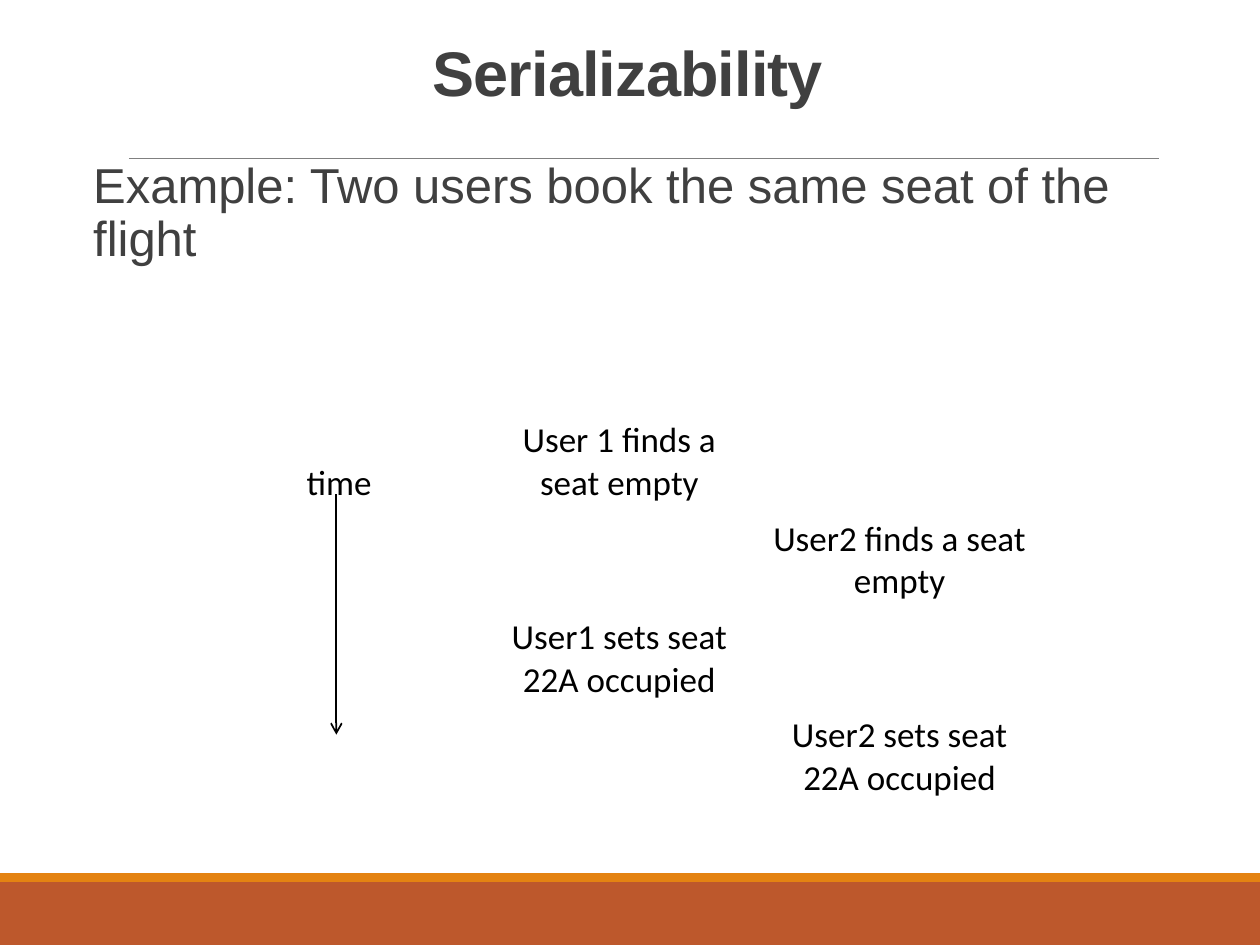
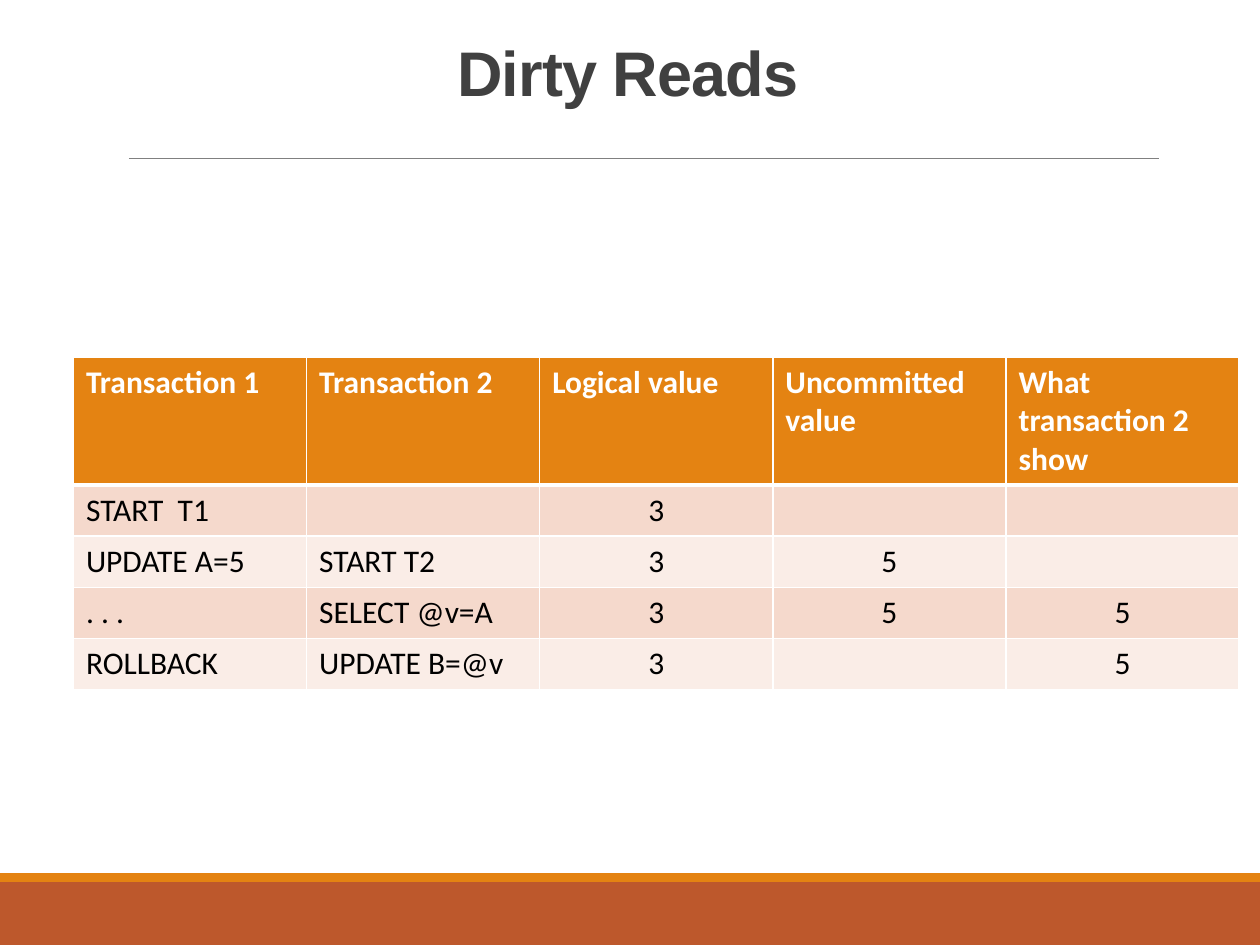
from lxml import etree
from pptx import Presentation
from pptx.dml.color import RGBColor
from pptx.enum.shapes import MSO_CONNECTOR, MSO_SHAPE
from pptx.enum.text import MSO_ANCHOR, MSO_AUTO_SIZE, PP_ALIGN
from pptx.oxml.ns import qn
from pptx.util import Cm, Pt

LEFT, CENTER = PP_ALIGN.LEFT, PP_ALIGN.CENTER
TOP = MSO_ANCHOR.TOP
NO_AUTOFIT = MSO_AUTO_SIZE.NONE
RECTANGLE = MSO_SHAPE.RECTANGLE
STRAIGHT = MSO_CONNECTOR.STRAIGHT
TITLE_ONLY = 5

# Shared look
SLIDE_W, SLIDE_H = 25.4, 19.05
MARGIN_X, CONTENT_W = 1.63, 22.05
TITLE_TOP, TITLE_H = 0.79, 2.34
HEADING_FONT, TABLE_FONT = "Arial", "Calibri"
RUST, ORANGE, GREY = "BD582C", "E48312", "808080"
DARK, BLACK, WHITE = "404040", "000000", "FFFFFF"
ROW_TINTS = ("F5D9CC", "FAEDE7")

# Slide content
BOOKING_STEPS = [
    ("User 1 finds a seat empty", ""),
    ("", "User2 finds a seat empty"),
    ("User1 sets seat 22A occupied", ""),
    ("", "User2 sets seat 22A occupied"),
]
DIRTY_READ_HEADER = ["Transaction 1", "Transaction 2", "Logical value",
                     "Uncommitted value", "What transaction 2 show"]
DIRTY_READ_ROWS = [
    ("START  T1", "", "3", "", ""),
    ("UPDATE A=5", "START T2", "3", "5", ""),
    (". . .", "SELECT @v=A", "3", "5", "5"),
    ("ROLLBACK", "UPDATE B=@v", "3", "", "5"),
]


def rgb(hex_color):
    return RGBColor.from_string(hex_color)


def add_run(paragraph, text, size, font, color, bold=False):
    run = paragraph.add_run()
    run.text = text
    run.font.size = Pt(size)
    run.font.name = font
    run.font.bold = bold
    run.font.color.rgb = rgb(color)
    return run


def add_band(slide, top, height, color):
    band = slide.shapes.add_shape(RECTANGLE, 0, Cm(top), Cm(SLIDE_W), Cm(height))
    band.shadow.inherit = False
    band.fill.solid()
    band.fill.fore_color.rgb = rgb(color)
    band.line.fill.background()


def add_line(slide, start, end, color, width, arrow=False):
    line = slide.shapes.add_connector(STRAIGHT, *map(Cm, start + end))
    line.line.color.rgb = rgb(color)
    line.line.width = Pt(width)
    properties = line._element.spPr
    if arrow:
        etree.SubElement(properties.find(qn("a:ln")), qn("a:tailEnd"), type="arrow")
    etree.SubElement(properties, qn("a:effectLst"))


def add_titled_slide(prs, title_text):
    slide = prs.slides.add_slide(prs.slide_layouts[TITLE_ONLY])
    # Footer bands and the rule under the title
    add_band(slide, 17.78, 1.27, RUST)
    add_band(slide, 17.6, 0.18, ORANGE)
    add_line(slide, (2.6, 3.2), (23.36, 3.2), GREY, 0.5)
    # Title
    title = slide.shapes.title
    title.left, title.top = Cm(MARGIN_X), Cm(TITLE_TOP)
    title.width, title.height = Cm(CONTENT_W), Cm(TITLE_H)
    frame = title.text_frame
    frame.auto_size = NO_AUTOFIT
    frame.vertical_anchor = TOP
    paragraph = frame.paragraphs[0]
    paragraph.alignment = CENTER
    paragraph.line_spacing = 0.85
    run = add_run(paragraph, title_text, 36, HEADING_FONT, DARK, bold=True)
    run.font._element.set("spc", "-50")
    return slide


def add_body(slide, text):
    body = slide.shapes.add_textbox(Cm(MARGIN_X), Cm(TITLE_TOP + TITLE_H),
                                    Cm(CONTENT_W), Cm(14.07))
    frame = body.text_frame
    frame.word_wrap = True
    frame.margin_left, frame.margin_right = Cm(0.25), 0
    paragraph = frame.paragraphs[0]
    paragraph.line_spacing = 0.9
    add_run(paragraph, text, 28, HEADING_FONT, DARK)


def add_plain_table(slide, left, top, column_width, columns, row_heights):
    frame = slide.shapes.add_table(
        len(row_heights), columns, Cm(left), Cm(top),
        Cm(column_width * columns), Cm(sum(row_heights)))
    table = frame.table
    table.first_row = table.horz_banding = False
    for column in table.columns:
        column.width = Cm(column_width)
    for row, height in zip(table.rows, row_heights):
        row.height = Cm(height)
    return table


def set_borders(cell, color, **widths):
    properties = cell._tc.get_or_add_tcPr()
    for side in "LRTB":
        border = etree.SubElement(properties, qn(f"a:ln{side}"),
                                  w=str(Pt(widths.get(side, 1))))
        fill = etree.SubElement(border, qn("a:solidFill"))
        etree.SubElement(fill, qn("a:srgbClr"), val=color)


def write_cell(cell, text, size, color, align, bold=False):
    if text:
        paragraph = cell.text_frame.paragraphs[0]
        paragraph.alignment = align
        add_run(paragraph, text, size, TABLE_FONT, color, bold)


def add_booking_timeline(slide):
    timeline = add_plain_table(slide, 4.01, 8.33, 5.65, 3,
                               [1.98] * len(BOOKING_STEPS))
    for cell in timeline.iter_cells():
        cell.fill.background()
    # The time column spans every step
    time_cell = timeline.cell(0, 0)
    time_cell.merge(timeline.cell(len(BOOKING_STEPS) - 1, 0))
    time_cell.margin_top = Cm(0.99)
    write_cell(time_cell, "time", 20, BLACK, CENTER)
    for row, step in enumerate(BOOKING_STEPS):
        for column, action in enumerate(step, start=1):
            write_cell(timeline.cell(row, column), action, 20, BLACK, CENTER)
    add_line(slide, (6.78, 9.96), (6.78, 14.81), BLACK, 1, arrow=True)


def add_dirty_read_table(slide):
    schedule = add_plain_table(slide, 1.48, 7.2, 4.7, len(DIRTY_READ_HEADER),
                               [2.56] + [1.03] * len(DIRTY_READ_ROWS))
    for row, values in enumerate([DIRTY_READ_HEADER] + DIRTY_READ_ROWS):
        header = row == 0
        for column, value in enumerate(values):
            cell = schedule.cell(row, column)
            set_borders(cell, WHITE, T=3 if row == 1 else 1, B=3 if header else 1)
            cell.fill.solid()
            cell.fill.fore_color.rgb = rgb(ORANGE if header else ROW_TINTS[(row - 1) % 2])
            write_cell(cell, value, 18, WHITE if header else BLACK,
                       LEFT if header or column < 2 else CENTER, bold=header)


def main():
    prs = Presentation()
    prs.slide_width, prs.slide_height = Cm(SLIDE_W), Cm(SLIDE_H)

    # Slide 1: two users booking one seat
    serializability = add_titled_slide(prs, "Serializability")
    add_body(serializability, "Example: Two users book the same seat of the flight")
    add_booking_timeline(serializability)

    # Slide 2: reading a value that is rolled back
    dirty_reads = add_titled_slide(prs, "Dirty Reads")
    add_dirty_read_table(dirty_reads)

    prs.save("out.pptx")


if __name__ == "__main__":
    main()
